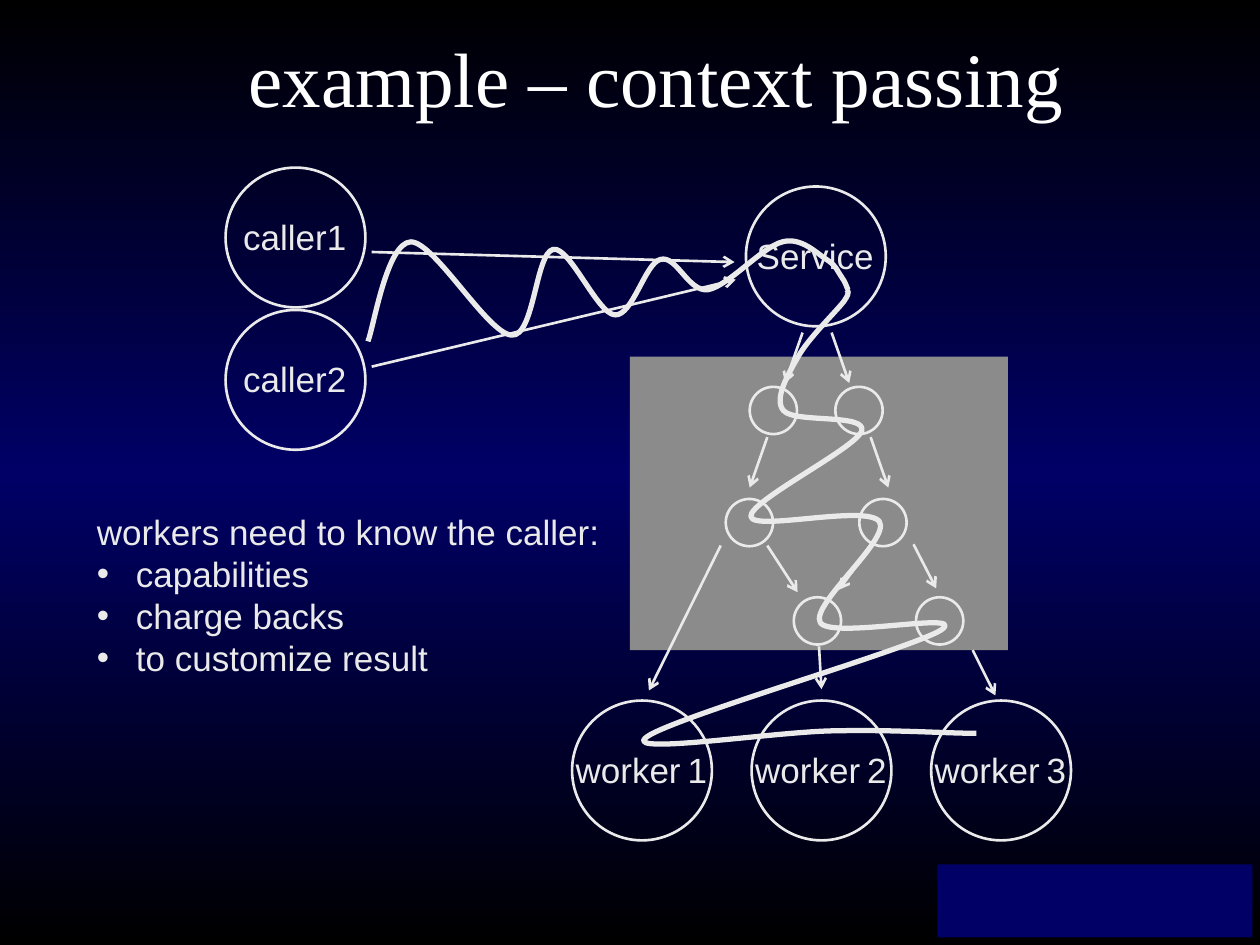
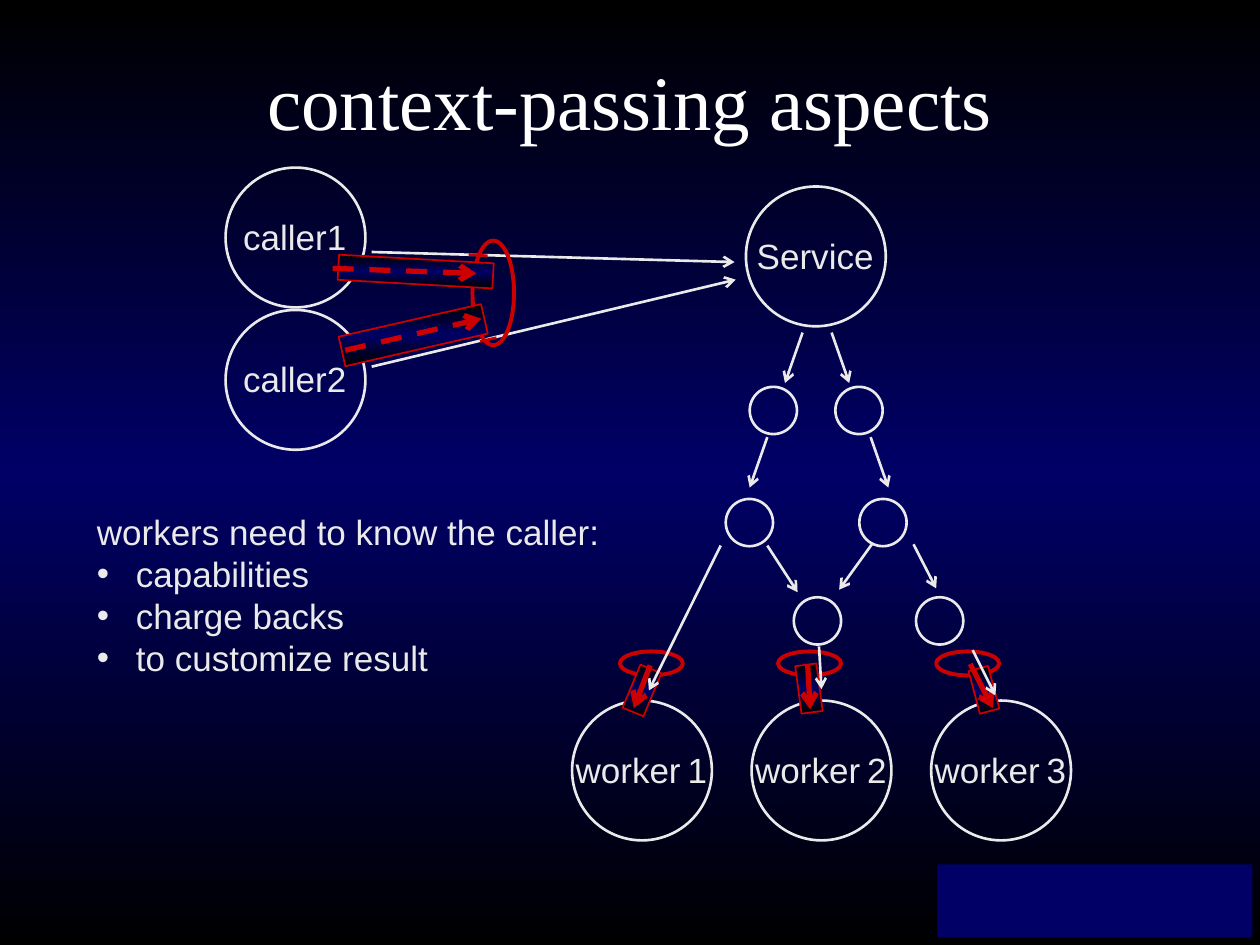
from copy import deepcopy
from dataclasses import dataclass

from lxml import etree
from pptx import Presentation
from pptx import util as u
from pptx.dml.color import RGBColor
from pptx.enum import dml, shapes, text
from pptx.oxml.ns import qn

BLACK = RGBColor(0x00, 0x00, 0x00)
NAVY = RGBColor(0x00, 0x00, 0x66)
WHITE = RGBColor(0xFF, 0xFF, 0xFF)
PALE = RGBColor(0xEA, 0xEA, 0xEA)
GREY = RGBColor(0x8B, 0x8B, 0x8B)
RED = RGBColor(0xCC, 0x00, 0x00)

OVAL = shapes.MSO_SHAPE.OVAL
RECT = shapes.MSO_SHAPE.RECTANGLE
BIG, SMALL = 1.11, 0.375
BULLET_INDENT = 0.31


@dataclass
class Node:
    x: float
    y: float
    label: str = ""
    size: float = BIG


@dataclass
class Arrow:
    x1: float
    y1: float
    x2: float
    y2: float
    color: RGBColor = PALE
    width: float = 1.5
    dashed: bool = False
    head: bool = True


@dataclass
class Box:
    x: float
    y: float
    w: float
    h: float
    rotation: float = 0


CALLERS = [Node(1.79, 1.33, "caller1"), Node(1.79, 2.46, "caller2")]
SERVICE = Node(5.92, 1.48, "Service")
WORKERS = [Node(4.54 + 1.425 * i, 5.56, f"worker {i + 1}") for i in range(3)]
TREE_NODES = [
    Node(x, y, size=SMALL)
    for y, xs in ((3.07, (5.95, 6.63)), (3.96, (5.76, 6.82)), (4.74, (6.3, 7.27)))
    for x in xs
]
CALLS = [Arrow(2.95, 2, 5.83, 2.08), Arrow(2.95, 2.91, 5.84, 2.22)]
TREE_ARROWS = [
    Arrow(6.37, 2.64, 6.23, 3.04), Arrow(6.6, 2.64, 6.74, 3.04),
    Arrow(6.09, 3.47, 5.95, 3.87), Arrow(6.91, 3.47, 7.05, 3.87),
    Arrow(5.72, 4.33, 5.15, 5.48), Arrow(6.09, 4.33, 6.33, 4.7),
    Arrow(6.92, 4.32, 6.66, 4.68), Arrow(7.25, 4.32, 7.43, 4.67),
    Arrow(6.5, 5.13, 6.52, 5.47), Arrow(7.72, 5.16, 7.9, 5.52),
]
CALL_WAVE = [
    (2.92, 2.71), (2.97, 2.58), (3.07, 1.93), (3.26, 1.92), (3.45, 1.92), (3.87, 2.65),
    (4.06, 2.66), (4.24, 2.68), (4.25, 2.01), (4.39, 1.98), (4.52, 1.95), (4.74, 2.49),
    (4.88, 2.5), (5.02, 2.51), (5.12, 2.09), (5.24, 2.06), (5.37, 2.02), (5.46, 2.32),
    (5.62, 2.3), (5.78, 2.27), (6.05, 1.96), (6.21, 1.92), (6.36, 1.88), (6.48, 2.01),
    (6.56, 2.06), (6.64, 2.11), (6.65, 2.16), (6.68, 2.2), (6.71, 2.24), (6.72, 2.28),
    (6.73, 2.3),
]
TREE_WAVE = [
    (6.72, 2.3), (6.72, 2.31), (6.76, 2.3), (6.7, 2.39), (6.63, 2.48), (6.41, 2.69),
    (6.33, 2.84), (6.25, 2.98), (6.14, 3.17), (6.22, 3.26), (6.31, 3.36), (6.88, 3.28),
    (6.84, 3.42), (6.79, 3.56), (5.94, 3.98), (5.96, 4.1), (5.98, 4.22), (6.88, 4),
    (6.98, 4.14), (7.07, 4.28), (6.43, 4.8), (6.51, 4.94), (6.59, 5.08), (7.7, 4.84),
    (7.47, 5), (7.23, 5.15), (5.25, 5.72), (5.12, 5.86), (4.98, 5.99), (6.2, 5.8),
    (6.64, 5.8), (7.08, 5.79), (7.52, 5.82), (7.75, 5.82),
]
CALLER_RING = Box(3.75, 1.91, 0.33, 0.83)
CALLER_SLEEVES = [Box(3.2, 1.54, 0.2, 1.23, 273.2), Box(3.16, 2.08, 0.24, 1.16, 257.1)]
CALLER_MARKS = [
    Arrow(3.72, 2.02, 3.87, 2.03, RED, head=False),
    Arrow(3.81, 2.71, 3.94, 2.68, RED, head=False),
]
CALLER_ADVICE = [
    Arrow(2.64, 2.13, 3.78, 2.17, RED, 3, dashed=True),
    Arrow(2.74, 2.78, 3.82, 2.53, RED, 3, dashed=True),
]
WORKER_RINGS = [Box(4.92 + 1.255 * i, 5.17, 0.5, 0.19) for i in range(3)]
WORKER_SLEEVES = [
    Box(4.91, 5.39, 0.37, 0.18, 292.6),
    Box(6.23, 5.38, 0.38, 0.17, 82.4),
    Box(7.73, 5.3, 0.16, 0.35, 345),
]
WORKER_ADVICE = [
    Arrow(5.16, 5.28, 5.03, 5.62, RED, 3),
    Arrow(6.41, 5.27, 6.43, 5.63, RED, 3),
    Arrow(7.7, 5.27, 7.88, 5.62, RED, 3),
]


def write(p, words: str, *, size: float = 20, font: str = "Arial",
          color: RGBColor = PALE, align=text.PP_ALIGN.LEFT) -> None:
    p.alignment = align
    r = p.add_run()
    r.text = words
    r.font.size = u.Pt(size)
    r.font.name = font
    r.font.color.rgb = color


def fill_gradient(fill, element) -> None:
    fill.gradient()
    fill.gradient_angle = 90
    stops = next(element.iter(qn("a:gsLst")))
    stops.getparent().set("rotWithShape", "0")
    stops.insert(1, deepcopy(stops[0]))
    for stop, color, position in zip(fill.gradient_stops, (BLACK, NAVY, BLACK), (0, 0.5, 1)):
        stop.color.rgb = color
        stop.position = position


def style(sp, fill: RGBColor | None = None, line: RGBColor | None = None,
          width: float = 1.5) -> None:
    sp.shadow.inherit = False
    if fill is None:
        sp.fill.background()
    else:
        sp.fill.solid()
        sp.fill.fore_color.rgb = fill
    if line is None:
        sp.line.fill.background()
    else:
        sp.line.color.rgb = line
        sp.line.width = u.Pt(width)


def add_box(s, kind, box: Box, **look):
    sp = s.shapes.add_shape(kind, *map(u.Inches, (box.x, box.y, box.w, box.h)))
    sp.rotation = box.rotation
    style(sp, **look)
    return sp


def add_text_frame(s, box: Box):
    tf = s.shapes.add_textbox(*map(u.Inches, (box.x, box.y, box.w, box.h))).text_frame
    tf.word_wrap = True
    return tf


def add_node(s, node: Node) -> None:
    add_box(s, OVAL, Box(node.x, node.y, node.size, node.size), line=PALE)
    if not node.label:
        return
    tf = add_text_frame(s, Box(node.x - 0.09, node.y + 0.33, 1.28, 0.44))
    for part in filter(None, node.label.partition(" ")):
        write(tf.paragraphs[0], part, size=14 if part == " " else 20,
              align=text.PP_ALIGN.CENTER)


def add_sleeve(s, box: Box) -> None:
    sp = add_box(s, RECT, box, line=RED, width=1)
    fill_gradient(sp.fill, sp._element)


def add_arrow(s, arrow: Arrow) -> None:
    ends = map(u.Inches, (arrow.x1, arrow.y1, arrow.x2, arrow.y2))
    cx = s.shapes.add_connector(shapes.MSO_CONNECTOR.STRAIGHT, *ends)
    cx.line.color.rgb = arrow.color
    cx.line.width = u.Pt(arrow.width)
    if arrow.dashed:
        cx.line.dash_style = dml.MSO_LINE.DASH
    spPr = cx._element.spPr
    if arrow.head:
        etree.SubElement(spPr.get_or_add_ln(), qn("a:tailEnd"), type="arrow")
    etree.SubElement(spPr, qn("a:effectLst"))


def add_curve(s, points: list[tuple[float, float]]) -> None:
    start, *rest = [tuple(map(u.Inches, point)) for point in points]
    fb = s.shapes.build_freeform(*start)
    fb.add_line_segments(rest, close=False)
    sp = fb.convert_to_shape()
    style(sp, line=PALE, width=3)
    outline = next(sp._element.iter(qn("a:moveTo"))).getparent()
    segments = outline.findall(qn("a:lnTo"))
    for i in range(0, len(segments), 3):
        bezier = etree.SubElement(outline, qn("a:cubicBezTo"))
        for segment in segments[i:i + 3]:
            bezier.append(segment[0])
            outline.remove(segment)


def add_needs(s) -> None:
    tf = add_text_frame(s, Box(0.67, 4, 4.25, 1.44))
    write(tf.paragraphs[0], "workers need to know the caller:")
    for need in ("capabilities", "charge backs", "to customize result"):
        p = tf.add_paragraph()
        write(p, need)
        pPr = p._p.get_or_add_pPr()
        pPr.set("marL", str(u.Inches(BULLET_INDENT)))
        pPr.set("indent", str(-u.Inches(BULLET_INDENT)))
        etree.SubElement(pPr, qn("a:buFont"), typeface="Arial")
        etree.SubElement(pPr, qn("a:buChar"), char="•")


def add_slide(prs, title: str, box: Box):
    s = prs.slides.add_slide(prs.slide_layouts[5])
    sp = s.shapes.title
    sp.left, sp.top, sp.width, sp.height = map(u.Inches, (box.x, box.y, box.w, box.h))
    tf = sp.text_frame
    tf.auto_size = text.MSO_AUTO_SIZE.NONE
    tf.vertical_anchor = text.MSO_ANCHOR.MIDDLE
    write(tf.paragraphs[0], title, size=44, font="Times New Roman", color=WHITE,
          align=text.PP_ALIGN.CENTER)
    return s


def add_corner_band(s) -> None:
    add_box(s, RECT, Box(7.44, 6.86, 2.5, 0.58), fill=NAVY)


def add_participants(s) -> None:
    for node in (*CALLERS, SERVICE):
        add_node(s, node)
    for arrow in CALLS:
        add_arrow(s, arrow)
    for node in WORKERS:
        add_node(s, node)


def add_tree(s) -> None:
    for node in TREE_NODES:
        add_node(s, node)
    for arrow in TREE_ARROWS:
        add_arrow(s, arrow)


def add_advice(s, rings: list[Box], sleeves: list[Box], arrows: list[Arrow]) -> None:
    for ring in rings:
        add_box(s, OVAL, ring, line=RED, width=2.25)
    for sleeve in sleeves:
        add_sleeve(s, sleeve)
    for arrow in arrows:
        add_arrow(s, arrow)


def main() -> None:
    prs = Presentation()
    prs.slide_width, prs.slide_height = u.Inches(10), u.Inches(7.5)
    master = prs.slide_master
    fill_gradient(master.background.fill, master._element)

    s = add_slide(prs, "example – context passing", Box(0.67, 0.08, 9.08, 1.05))
    add_box(s, RECT, Box(5, 2.83, 3, 2.33), fill=GREY)
    add_needs(s)
    add_curve(s, CALL_WAVE)
    add_participants(s)
    add_tree(s)
    add_curve(s, TREE_WAVE)
    add_corner_band(s)

    s = add_slide(prs, "context-passing aspects", Box(0.75, 0.17, 8.5, 1.25))
    add_needs(s)
    add_participants(s)
    add_advice(s, [CALLER_RING], CALLER_SLEEVES, CALLER_MARKS + CALLER_ADVICE)
    add_advice(s, WORKER_RINGS, WORKER_SLEEVES, WORKER_ADVICE)
    add_tree(s)
    add_corner_band(s)

    prs.save("out.pptx")


if __name__ == "__main__":
    main()
